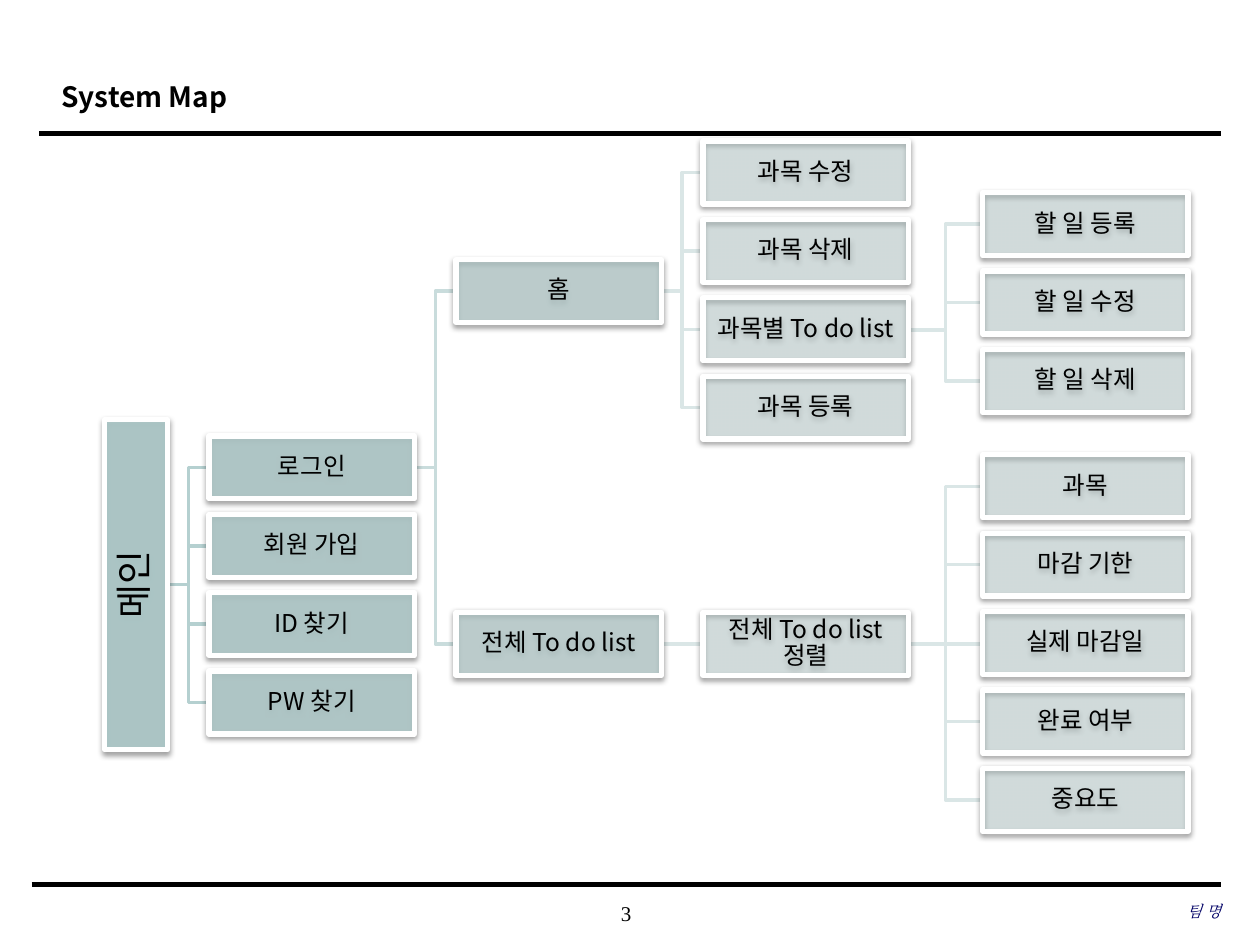
from lxml import etree
from pptx import Presentation
from pptx import util as u
from pptx.dml.color import RGBColor
from pptx.enum import shapes, text
from pptx.oxml import ns

BLACK = RGBColor(0, 0, 0)
WHITE = RGBColor(255, 255, 255)
NAVY = RGBColor(0, 0, 0x66)
TEAL = RGBColor(0xAA, 0xCA, 0xCA)
DARK = RGBColor(0xB5, 0xD0, 0xD0)
MID = RGBColor(0xC9, 0xDC, 0xDC)
PALE = RGBColor(0xDA, 0xE6, 0xE6)
SANS = "Noto Sans CJK KR"
SERIF = "Times New Roman"
WIDE, HIGH, STEP = 1.63, 0.5, 0.622
CENTER = text.PP_ALIGN.CENTER

# parent right edge, parent middle, child left, first top, step, opacity, link colour, names
GROUPS = [
    (1.33, 4.64, 1.66, 3.46, STEP, 70, DARK, ["로그인", "회원 가입", "ID 찾기", "PW 찾기"]),
    (3.29, 3.71, 3.62, 2.06, 2.8, 50, MID, ["홈", "전체 To do list"]),
    (5.25, 2.31, 5.58, 1.12, STEP, 30, PALE,
     ["과목 수정", "과목 삭제", "과목별 To do list", "과목 등록"]),
    (5.25, 5.11, 5.58, 4.86, STEP, 30, PALE, ["전체 To do list\v정렬"]),
    (7.21, 2.62, 7.8, 1.53, STEP, 30, PALE, ["할 일 등록", "할 일 수정", "할 일 삭제"]),
    (7.21, 5.11, 7.8, 3.61, STEP, 30, PALE,
     ["과목", "마감 기한", "실제 마감일", "완료 여부", "중요도"]),
]


def add(node, tag, **attrs):
    return etree.SubElement(node, ns.qn(tag), attrs)


def write(shape, words, inset, align, space, **style):
    frame = shape.text_frame
    frame.word_wrap = True
    frame.vertical_anchor = text.MSO_ANCHOR.MIDDLE
    for side in ("left", "right", "top", "bottom"):
        setattr(frame, "margin_" + side, u.Inches(inset))
    frame.text = words
    para = frame.paragraphs[0]
    para.alignment = align
    para.line_spacing = space
    color = style.pop("color", BLACK)
    for run in para.runs:
        run.font.color.rgb = color
        for key, value in style.items():
            setattr(run.font, key, value)
        add(run.font._element, "a:ea", typeface=style["name"])


def label(slide, place, *args, **style):
    write(slide.shapes.add_textbox(*map(u.Inches, place)), *args, **style)


def rule(slide, start, end, color, width):
    line = slide.shapes.add_connector(
        shapes.MSO_CONNECTOR.STRAIGHT, *map(u.Inches, start + end))
    line.line.color.rgb = color
    line.line.width = u.Pt(width)
    add(line._element.spPr, "a:effectLst")


def link(slide, start, end, color):
    """Join a parent to a child, with a bend halfway when heights differ."""
    if abs(start[1] - end[1]) < 0.03:
        rule(slide, start, (end[0], start[1]), color, 2)
        return
    mid = (start[0] + end[0]) / 2
    points = [start, (mid, start[1]), (mid, end[1]), end]
    first, *rest = [tuple(map(u.Inches, point)) for point in points]
    pen = slide.shapes.build_freeform(*first)
    pen.add_line_segments(rest, close=False)
    bend = pen.convert_to_shape()
    bend.fill.background()
    bend.line.color.rgb = color
    bend.line.width = u.Pt(2)
    bend.shadow.inherit = False


def box(slide, place, words, alpha, size=14, turn=0):
    """Draw a see-through tile with a white rim and a soft shadow."""
    tile = slide.shapes.add_shape(shapes.MSO_SHAPE.RECTANGLE, *map(u.Inches, place))
    tile.rotation = turn
    tile.fill.solid()
    tile.fill.fore_color.rgb = TEAL
    tile.line.color.rgb = WHITE
    tile.line.width = u.Pt(3)
    tile.shadow.inherit = False
    props = tile._element.spPr
    tint = props.find(ns.qn("a:solidFill"))[0]
    add(tint, "a:alpha", val=str(alpha * 1000))
    shade = add(props.find(ns.qn("a:effectLst")), "a:outerShdw", blurRad="40000",
                dist="20000", dir="5400000", rotWithShape="0")
    add(add(shade, "a:srgbClr", val="000000"), "a:alpha", val="38000")
    write(tile, words, 0.01, CENTER, 0.9, size=u.Pt(size), name=SANS)


def tree(slide):
    for right, mid, left, top, step, _, color, names in GROUPS:
        for row in range(len(names)):
            link(slide, (right, mid), (left, top + row * step + HIGH / 2), color)
    box(slide, (-0.23, 4.39, 2.62, HIGH), "메인", 80, size=21, turn=270)
    for _, _, left, top, step, alpha, _, names in GROUPS:
        for row, name in enumerate(names):
            box(slide, (left, top + row * step, WIDE, HIGH), name, alpha)


def main():
    deck = Presentation()
    deck.slide_width, deck.slide_height = u.Inches(10), u.Inches(7.5)
    slide = deck.slides.add_slide(deck.slide_layouts[6])
    rule(slide, (0.31, 1.06), (9.69, 1.06), BLACK, 2.5)
    rule(slide, (0.25, 7.02), (9.69, 7.02), BLACK, 3)
    label(slide, (0.39, 0.49, 7.55, 0.5), "System Map", 0.1, text.PP_ALIGN.LEFT, 1.2,
          size=u.Pt(16), name=SANS, bold=True)
    tree(slide)
    label(slide, (3.93, 7.08, 2.08, 0.33), "3", 0, CENTER, 1.0,
          size=u.Pt(12), name=SERIF)
    label(slide, (6.63, 7.07, 3.06, 0.33), "팀 명", 0, text.PP_ALIGN.RIGHT, 1.0,
          size=u.Pt(9), name=SERIF, italic=True, color=NAVY)
    deck.save("out.pptx")


if __name__ == "__main__":
    main()
